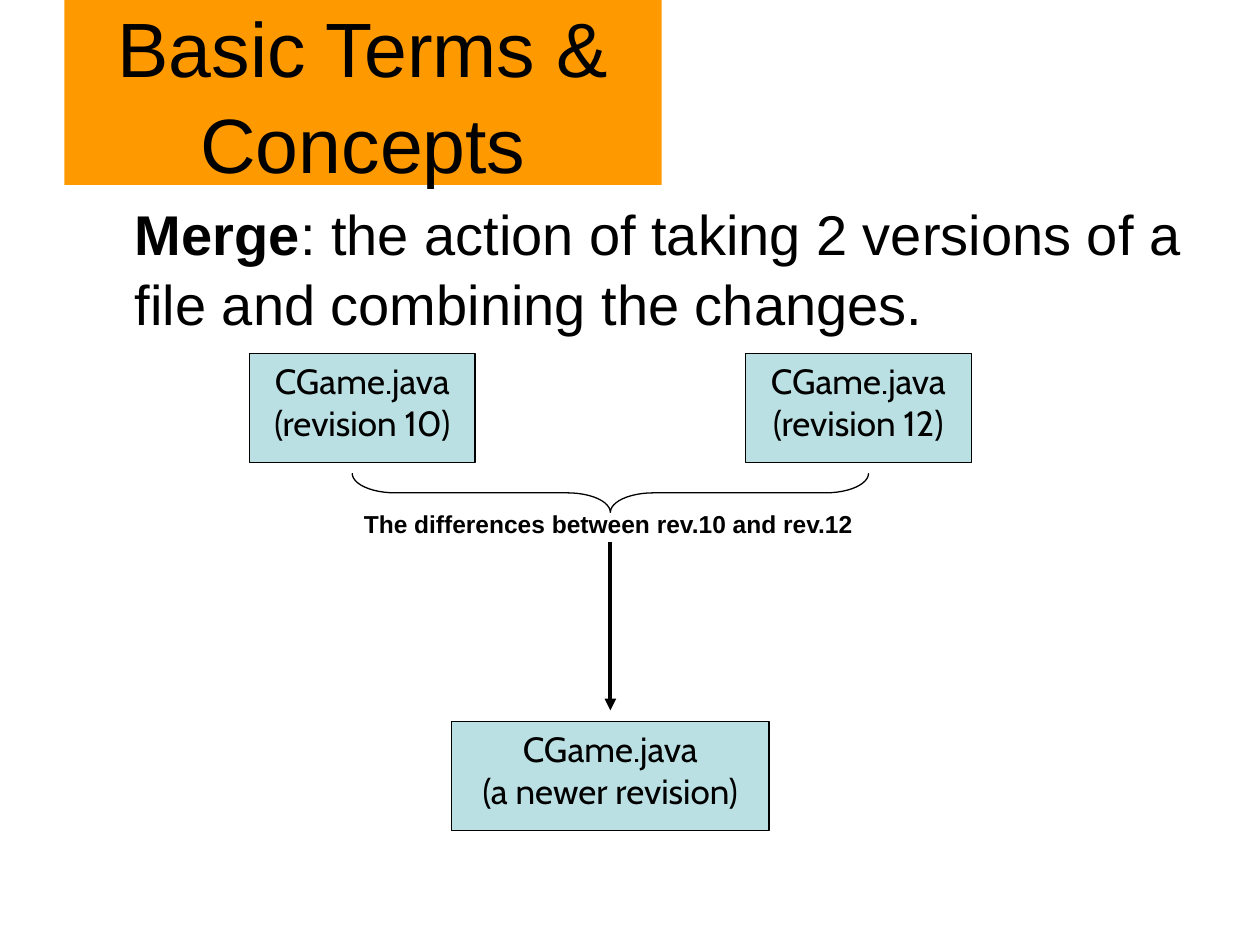
import pptx
import pptx.util
import pptx.dml.color
import pptx.enum.shapes
import pptx.enum.text
import pptx.oxml
import pptx.oxml.ns

Cm = pptx.util.Cm
Pt = pptx.util.Pt
SHAPE = pptx.enum.shapes.MSO_SHAPE
ALIGN = pptx.enum.text.PP_ALIGN
ANCHOR = pptx.enum.text.MSO_ANCHOR

BLACK, ORANGE, WHITE, PALE_BLUE = "000000", "FF9900", "FFFFFF", "BBE0E3"


def colour(hex_value):
    return pptx.dml.color.RGBColor.from_string(hex_value)


def style_paragraph(paragraph, size, font="Arial", align=ALIGN.LEFT):
    paragraph.alignment = align
    paragraph.font.size = Pt(size)
    paragraph.font.name = font
    paragraph.font.color.rgb = colour(BLACK)


def add_panel(slide, box, fill, outlined=False):
    """Add a filled rectangle; box is left, top, width, height in cm."""
    panel = slide.shapes.add_shape(SHAPE.RECTANGLE, *map(Cm, box))
    panel.shadow.inherit = False
    panel.fill.solid()
    panel.fill.fore_color.rgb = colour(fill)
    if outlined:
        panel.line.color.rgb = colour(BLACK)
        panel.line.width = Pt(0.75)
    else:
        panel.line.fill.background()
    return panel


def add_title(slide, box, wording):
    frame = add_panel(slide, box, ORANGE).text_frame
    frame.word_wrap = True
    frame.vertical_anchor = ANCHOR.MIDDLE
    heading = frame.paragraphs[0]
    heading.text = wording
    heading.line_spacing = 1.04
    style_paragraph(heading, 44, align=ALIGN.CENTER)


def add_definition(slide, box, term, meaning):
    frame = add_panel(slide, box, WHITE).text_frame
    frame.word_wrap = True
    frame.vertical_anchor = ANCHOR.TOP
    frame.margin_left = Cm(1.45)
    definition = frame.paragraphs[0]
    definition.line_spacing = 1.04
    style_paragraph(definition, 32)
    term_run = definition.add_run()
    term_run.text = term
    term_run.font.bold = True
    definition.add_run().text = meaning


def add_file_version(slide, box, revision):
    frame = add_panel(slide, box, PALE_BLUE, outlined=True).text_frame
    frame.word_wrap = False
    frame.vertical_anchor = ANCHOR.TOP
    frame.text = f"CGame.java\n({revision})"
    for paragraph in frame.paragraphs:
        style_paragraph(paragraph, 20, "Cabin", ALIGN.CENTER)


def add_brace(slide, box):
    """Add a brace that opens upwards and fills the box."""
    left, top, width, height = box
    shift = (width - height) / 2
    brace = slide.shapes.add_shape(
        SHAPE.LEFT_BRACE, Cm(left + shift), Cm(top - shift), Cm(height), Cm(width))
    brace.rotation = 270
    brace.adjustments[0] = 1.1
    brace.shadow.inherit = False
    brace.fill.background()
    brace.line.color.rgb = colour(BLACK)
    brace.line.width = Pt(0.75)


def add_difference_label(slide, box, wording):
    frame = slide.shapes.add_textbox(*map(Cm, box)).text_frame
    frame.word_wrap = False
    label = frame.paragraphs[0]
    label.text = wording
    style_paragraph(label, 14)
    label.font.bold = True


def add_down_arrow(slide, x, top, bottom):
    arrow = slide.shapes.add_connector(
        pptx.enum.shapes.MSO_CONNECTOR.STRAIGHT, Cm(x), Cm(top), Cm(x), Cm(bottom))
    arrow.line.color.rgb = colour(BLACK)
    arrow.line.width = Pt(2.25)
    line = arrow.line._get_or_add_ln()
    head = pptx.oxml.parse_xml(
        f'<a:tailEnd {pptx.oxml.ns.nsdecls("a")} type="triangle"/>')
    line.append(head)
    line.addnext(pptx.oxml.parse_xml(
        f'<a:effectLst {pptx.oxml.ns.nsdecls("a")}/>'))


def add_merge_diagram(slide, box):
    left, top, width, height = box
    centre = left + width / 2
    card_height, source_width, result_width = 2.19, 4.55, 6.4
    brace_width, label_width = 10.41, 10.44

    source_lefts = (left, left + width - source_width)
    for source_left, revision in zip(source_lefts, ("revision 10", "revision 12")):
        add_file_version(
            slide, (source_left, top, source_width, card_height), revision)
    add_file_version(
        slide,
        (centre - result_width / 2, top + height - card_height,
         result_width, card_height),
        "a newer revision")
    add_brace(slide, (centre - brace_width / 2, top + 2.41, brace_width, 0.79))
    add_difference_label(
        slide, (centre - label_width / 2, top + 3, label_width, 0.81),
        "The differences between rev.10 and rev.12")
    add_down_arrow(slide, centre, top + 3.79, top + 7.19)


def main():
    deck = pptx.Presentation()
    deck.slide_width, deck.slide_height = Cm(25.4), Cm(19.05)
    slide = deck.slides.add_slide(deck.slide_layouts[6])
    add_title(slide, (1.3, 0, 12.04, 3.73), "Basic Terms & Concepts")
    add_definition(
        slide, (1.27, 3.84, 23.62, 3.02), "Merge",
        ": the action of taking 2 versions of a file and combining the changes.")
    add_merge_diagram(slide, (5.03, 7.13, 14.55, 9.61))
    deck.save("out.pptx")


if __name__ == "__main__":
    main()
